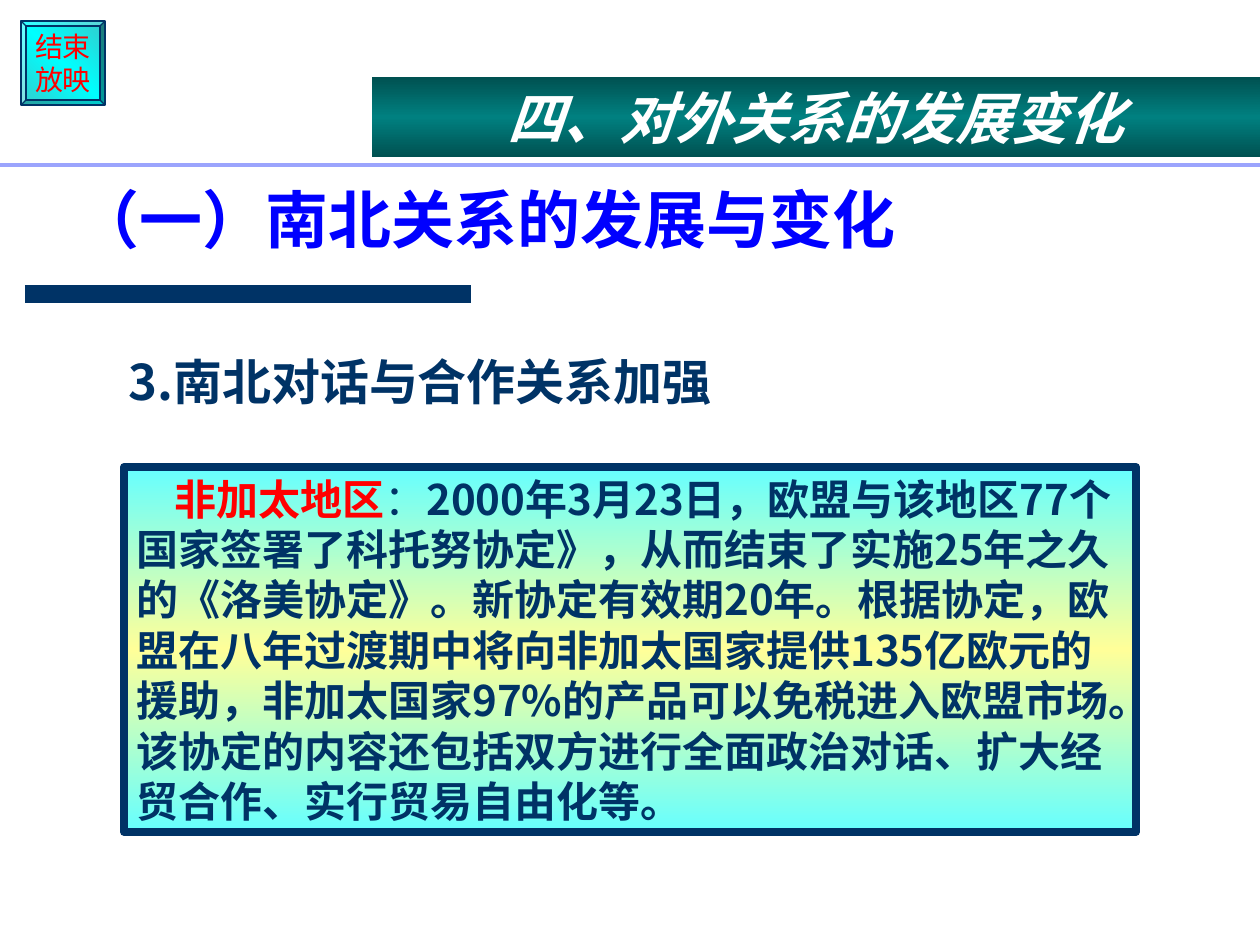
from lxml.etree import SubElement
from pptx import Presentation
from pptx.dml.color import RGBColor
from pptx.enum.shapes import MSO_CONNECTOR, MSO_SHAPE
from pptx.enum.text import MSO_ANCHOR, MSO_AUTO_SIZE, PP_ALIGN
from pptx.oxml.ns import qn
from pptx.util import Pt

EMU_PER_PX = 914400 / 126
CJK_FONT = "Noto Sans CJK SC"

NAVY = RGBColor(0x00, 0x33, 0x66)
BLUE = RGBColor(0x00, 0x00, 0xFF)
RED = RGBColor(0xFF, 0x00, 0x00)
WHITE = RGBColor(0xFF, 0xFF, 0xFF)
LAVENDER = RGBColor(0x9B, 0xA4, 0xFD)
TEAL = RGBColor(0x33, 0xCC, 0xCC)
CYAN = RGBColor(0x00, 0xFF, 0xFF)
PALE_CYAN = RGBColor(0x66, 0xFF, 0xFF)
PALE_YELLOW = RGBColor(0xFF, 0xFF, 0x99)
DARK_GREEN = RGBColor(0x00, 0x51, 0x51)
GREEN = RGBColor(0x00, 0x80, 0x80)

BANNER = "四、对外关系的发展变化"
TITLE = "（一）南北关系的发展与变化"
SUBTITLE = "3.南北对话与合作关系加强"
END_BUTTON = ["结束", "放映"]
# Each run: text, colour, bold
AGREEMENT = [
    ("非加太地区", RED, True),
    ("：", NAVY, False),
    ("2000年3月23日，欧盟与该地区77个国家签署了科托努协定》，从而结束了实施25年之久的"
     "《洛美协定》。新协定有效期20年。根据协定，欧盟在八年过渡期中将向非加太国家提供135亿欧元的援助，"
     "非加太国家97%的产品可以免税进入欧盟市场。该协定的内容还包括双方进行全面政治对话、扩大经贸合作、"
     "实行贸易自由化等。", NAVY, True),
]
# Each rule: start x, end x, y, colour, width in points
RULES = [(25, 471, 294, NAVY, 10), (0, 1260, 165, LAVENDER, 1.75)]


def px(value):
    return round(value * EMU_PER_PX)


def place(shape, left, top, width, height):
    shape.left, shape.top = px(left), px(top)
    shape.width, shape.height = px(width), px(height)


def write(shape, paragraphs, size, color=NAVY, bold=False, italic=False, font=CJK_FONT,
          align=PP_ALIGN.LEFT, anchor=MSO_ANCHOR.TOP, wrap=True, spacing=1.0,
          margin=0, indent=0):
    """Fill a shape; a paragraph is a string or a list of (text, colour, bold) runs."""
    frame = shape.text_frame
    frame.word_wrap = wrap
    frame.auto_size = MSO_AUTO_SIZE.NONE
    frame.vertical_anchor = anchor
    for index, content in enumerate(paragraphs):
        paragraph = frame.add_paragraph() if index else frame.paragraphs[0]
        properties = paragraph._p.get_or_add_pPr()
        properties.set("marL", str(px(margin)))
        properties.set("indent", str(px(indent)))
        SubElement(properties, qn("a:buNone"))
        paragraph.alignment = align
        paragraph.line_spacing = spacing
        paragraph.space_before = Pt(0)
        runs = [(content, color, bold)] if isinstance(content, str) else content
        for text, run_color, run_bold in runs:
            run = paragraph.add_run()
            run.text = text
            run.font.size = Pt(size)
            run.font.bold = run_bold
            run.font.italic = italic
            run.font.color.rgb = run_color
            run.font.name = font
            SubElement(run._r.get_or_add_rPr(), qn("a:ea")).set("typeface", font)


def set_gradient(shape, edge, middle, angle):
    """Blend from edge to middle and back; the angle runs clockwise in degrees."""
    shape.fill.gradient()
    gradient = shape._element.spPr.find(qn("a:gradFill"))
    stops = gradient.find(qn("a:gsLst"))
    for stop in list(stops):
        stops.remove(stop)
    for position, color in ((0, edge), (50, middle), (100, edge)):
        stop = SubElement(stops, qn("a:gs"), pos=str(position * 1000))
        SubElement(stop, qn("a:srgbClr"), val=str(color))
    gradient.find(qn("a:lin")).set("ang", str(angle * 60000))


def add_panel(slide, preset, box, edge, middle, angle, line_width=0):
    shape = slide.shapes.add_shape(preset, 0, 0, 0, 0)
    place(shape, *box)
    shape.shadow.inherit = False
    set_gradient(shape, edge, middle, angle)
    if line_width:
        shape.line.color.rgb = NAVY
        shape.line.width = Pt(line_width)
    else:
        shape.line.fill.background()
    return shape


def add_rule(slide, start, end, y, color, width):
    rule = slide.shapes.add_connector(MSO_CONNECTOR.STRAIGHT, px(start), px(y), px(end), px(y))
    rule.line.color.rgb = color
    rule.line.width = Pt(width)
    SubElement(rule._element.spPr, qn("a:effectLst"))


def main():
    presentation = Presentation()
    presentation.slide_width, presentation.slide_height = px(1260), px(945)
    slide = presentation.slides.add_slide(presentation.slide_layouts[1])

    title = slide.shapes.title
    place(title, 64, 126, 1072, 137)
    write(title, [TITLE], 36, color=BLUE, bold=True, anchor=MSO_ANCHOR.BOTTOM, spacing=0.9)

    subtitle = slide.placeholders[1]
    place(subtitle, 116, 345, 1060, 97)
    write(subtitle, [SUBTITLE], 28, bold=True, margin=48, indent=-48)

    button = add_panel(slide, MSO_SHAPE.BEVEL, (21, 21, 84, 84), TEAL, CYAN, 135, 0.75)
    button.adjustments[0] = 0.06
    write(button, END_BUTTON, 16, color=RED, font="Arial", align=PP_ALIGN.CENTER,
          anchor=MSO_ANCHOR.MIDDLE, wrap=False)

    agreement = add_panel(slide, MSO_SHAPE.RECTANGLE, (124, 467, 1012, 365),
                          PALE_CYAN, PALE_YELLOW, 90, 4.5)
    write(agreement, [AGREEMENT], 24, indent=38)

    banner = add_panel(slide, MSO_SHAPE.RECTANGLE, (372, 77, 888, 80), DARK_GREEN, GREEN, 90)
    write(banner, [BANNER], 32, color=WHITE, bold=True, italic=True, align=PP_ALIGN.CENTER)

    for rule in RULES:
        add_rule(slide, *rule)

    presentation.save("out.pptx")


if __name__ == "__main__":
    main()
